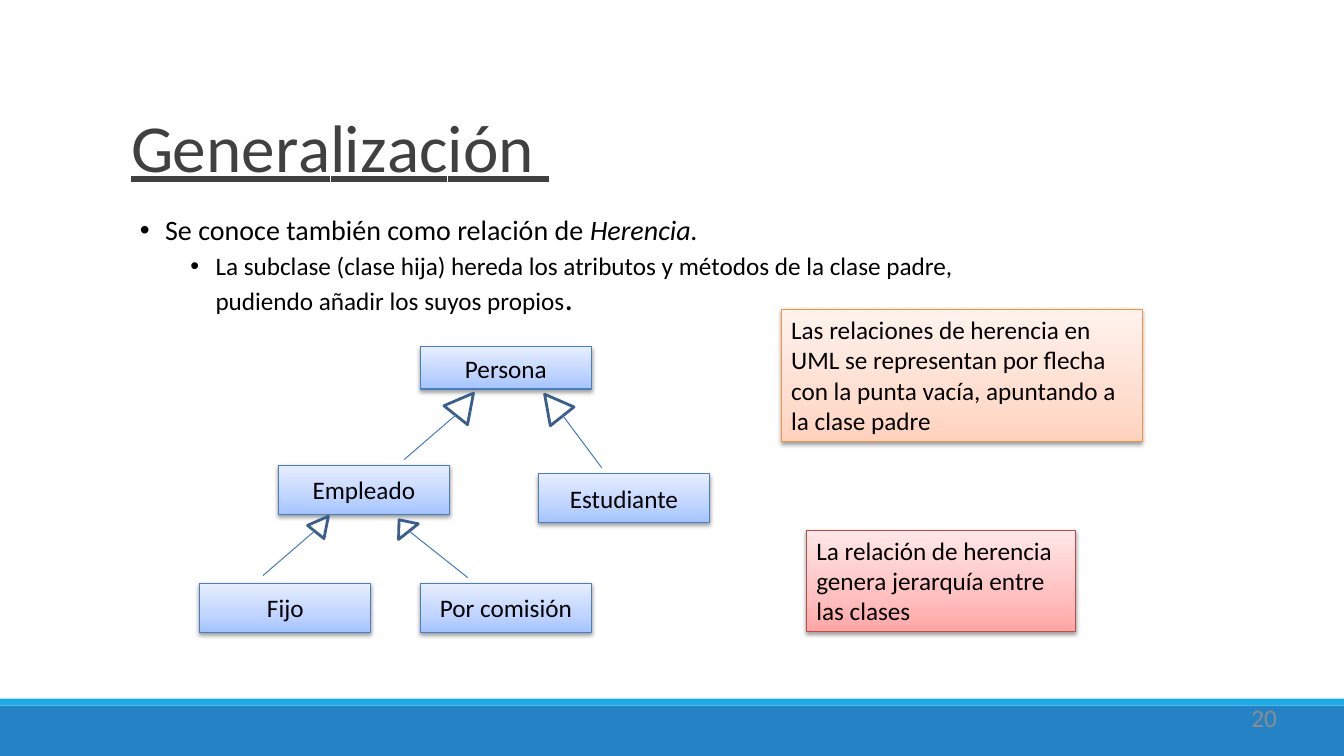
from dataclasses import dataclass

from copy import deepcopy
from lxml.etree import SubElement
from pptx import Presentation
from pptx.dml.color import RGBColor as Color
from pptx.enum.shapes import MSO_CONNECTOR as Link, MSO_SHAPE as Preset
from pptx.enum.text import MSO_ANCHOR as Anchor, MSO_AUTO_SIZE as Fit, PP_ALIGN as Align
from pptx.oxml.ns import qn
from pptx.util import Pt


@dataclass(frozen=True)
class Theme:
    font: str = "Calibri"
    title_size: int = 48
    lead_size: int = 20
    text_size: int = 18
    period_size: int = 24
    text: str = "000000"
    title: str = "404040"
    number: str = "8C8C8C"
    band: str = "2583C5"
    stripe: str = "1CACE3"
    link: str = "4B7EBC"
    arrowhead: str = "3A5F8C"
    # Each tint: outline, then gradient colours from bottom to top
    blue: tuple = ("4B7EBC", "A4C4FF", "BFD4FF", "E6EEFF")
    orange: tuple = ("F69240", "FFD2BD", "FFDED0", "FFF2ED")
    red: tuple = ("BF4C48", "FFA6A5", "FFC0BF", "FFE7E7")


theme = Theme()


def add_span(para, text, size=theme.text_size, color=theme.text, **formats):
    span = para.add_run()
    span.text = text
    span.font.color.rgb = Color.from_string(color)
    for name, value in {"name": theme.font, "size": Pt(size), **formats}.items():
        setattr(span.font, name, value)
    return span


def add_card(place, tint, text, align, anchor, fit):
    """Add a captioned rectangle with a three-stop gradient and a soft shadow."""
    box = page.shapes.add_shape(Preset.RECTANGLE, *map(Pt, place))
    outline, *colors = tint
    box.fill.gradient()
    box.fill.gradient_angle = 90
    properties = box._element.spPr
    stops = properties.find(".//" + qn("a:gsLst"))
    stops.append(deepcopy(stops[0]))
    for stop, color, position in zip(box.fill.gradient_stops, colors, (0, 0.35, 1)):
        stop.color.rgb = Color.from_string(color)
        stop.position = position
    box.line.color.rgb = Color.from_string(outline)
    box.line.width = Pt(0.75)
    box.shadow.inherit = False
    shadow = SubElement(properties.find(qn("a:effectLst")), qn("a:outerShdw"),
                        blurRad=str(Pt(3.1)), dist=str(Pt(1.6)), dir="5400000", rotWithShape="0")
    black = SubElement(shadow, qn("a:srgbClr"), val="000000")
    SubElement(black, qn("a:alpha"), val="38000")
    frame = box.text_frame
    for name, value in {"word_wrap": True, "vertical_anchor": anchor, "auto_size": fit}.items():
        setattr(frame, name, value)
    frame.paragraphs[0].alignment = align
    add_span(frame.paragraphs[0], text)


deck = Presentation()
deck.slide_width, deck.slide_height = Pt(960), Pt(540)
page = deck.slides.add_slide(deck.slide_layouts[6])

# Footer bands
for top, height, color in ((504, 36, theme.band), (499, 5, theme.stripe)):
    band = page.shapes.add_shape(Preset.RECTANGLE, 0, Pt(top), deck.slide_width, Pt(height))
    band.fill.solid()
    band.fill.fore_color.rgb = Color.from_string(color)
    band.line.fill.background()
    band.shadow.inherit = False

# Title, page number and bullet text
frames = []
for place, margin, anchor in (
    ((80, 72.7, 800, 59.8), 0, Anchor.BOTTOM),
    ((691.2, 501.8, 221, 27.4), 0, Anchor.TOP),
    ((92.9, 151.2, 614.9, 100.8), None, Anchor.TOP),
):
    frame = page.shapes.add_textbox(*map(Pt, place)).text_frame
    frame.word_wrap = True
    frame.vertical_anchor = anchor
    if margin is not None:
        for side in ("left", "top", "right", "bottom"):
            setattr(frame, f"margin_{side}", Pt(margin))
    frames.append(frame)
title, number, body = frames

heading = title.paragraphs[0]
heading._p.get_or_add_pPr().set("marL", str(Pt(13.7)))
for letters, spacing in (
    ("Ge", -50), ("n", -80), ("e", -50), ("r", -160), ("a", -80), ("li", -70),
    ("z", -180), ("a", -80), ("c", -50), ("i", -70), ("ó", -50), ("n ", -20),
):
    span = add_span(heading, letters, theme.title_size, theme.title, underline=True)
    span._r.get_or_add_rPr().set("spc", str(spacing))

number.paragraphs[0].alignment = Align.RIGHT
add_span(number.paragraphs[0], "20", color=theme.number)

lead, detail = body.paragraphs[0], body.add_paragraph()
for para, level, indent, space in ((lead, 0, 18, 10), (detail, 1, 54, 5)):
    para.level = level
    para.line_spacing = 0.9
    para.space_before = Pt(space)
    properties = para._p.get_or_add_pPr()
    properties.set("marL", str(Pt(indent)))
    properties.set("indent", str(Pt(-18)))
    SubElement(properties, qn("a:buFont"), typeface="Arial")
    SubElement(properties, qn("a:buChar"), char="•")
add_span(lead, "Se conoce también como relación de ", theme.lead_size)
add_span(lead, "Herencia.", theme.lead_size, italic=True)
add_span(detail, "La subclase (clase hija) hereda los atributos y métodos de la clase padre, "
                 "pudiendo añadir los suyos propios")
add_span(detail, ".", theme.period_size)

# Class hierarchy
for name, left, top, height in (
    ("Persona", 300.2, 247.7, 30.2),
    ("Empleado", 198.7, 332.6, 34.6),
    ("Estudiante", 384.5, 338.4, 34.6),
    ("Fijo", 142.6, 416.9, 34.6),
    ("Por comisión", 300.2, 416.9, 34.6),
):
    add_card((left, top, 122.4, height), theme.blue, name, Align.CENTER, Anchor.MIDDLE, Fit.NONE)

# Inheritance arrows: hollow head, its rotation, and the line from child to parent
for head, rotation, ends in (
    ((321.1, 278.6, 21.6, 20.2), 38.8, (288.7, 328.3, 325.4, 296.6)),
    ((384.5, 279.4, 21.6, 20.2), 321.6, (429.8, 334.1, 401.8, 296.6)),
    ((222.5, 367.2, 15.1, 14.4), 38.8, (187.9, 411.1, 224.6, 379.4)),
    ((279.4, 370.1, 18, 10.8), 321.6, (334.1, 412.6, 292.3, 379.4)),
):
    triangle = page.shapes.add_shape(Preset.ISOSCELES_TRIANGLE, *map(Pt, head))
    triangle.rotation = rotation
    triangle.fill.background()
    triangle.shadow.inherit = False
    link = page.shapes.add_connector(Link.STRAIGHT, *map(Pt, ends))
    SubElement(link._element.spPr, qn("a:effectLst"))
    for part, color, width in ((triangle, theme.arrowhead, 2), (link, theme.link, 0.75)):
        part.line.color.rgb = Color.from_string(color)
        part.line.width = Pt(width)

# Notes beside the hierarchy
for place, tint, text in (
    ((558, 221, 257.8, 94.3), theme.orange,
     "Las relaciones de herencia en UML se representan por flecha con la punta vacía, "
     "apuntando a la clase padre"),
    ((576, 378.7, 192.2, 72.7), theme.red,
     "La relación de herencia genera jerarquía entre las clases"),
):
    add_card(place, tint, text, Align.LEFT, Anchor.TOP, Fit.SHAPE_TO_FIT_TEXT)

deck.save("out.pptx")
